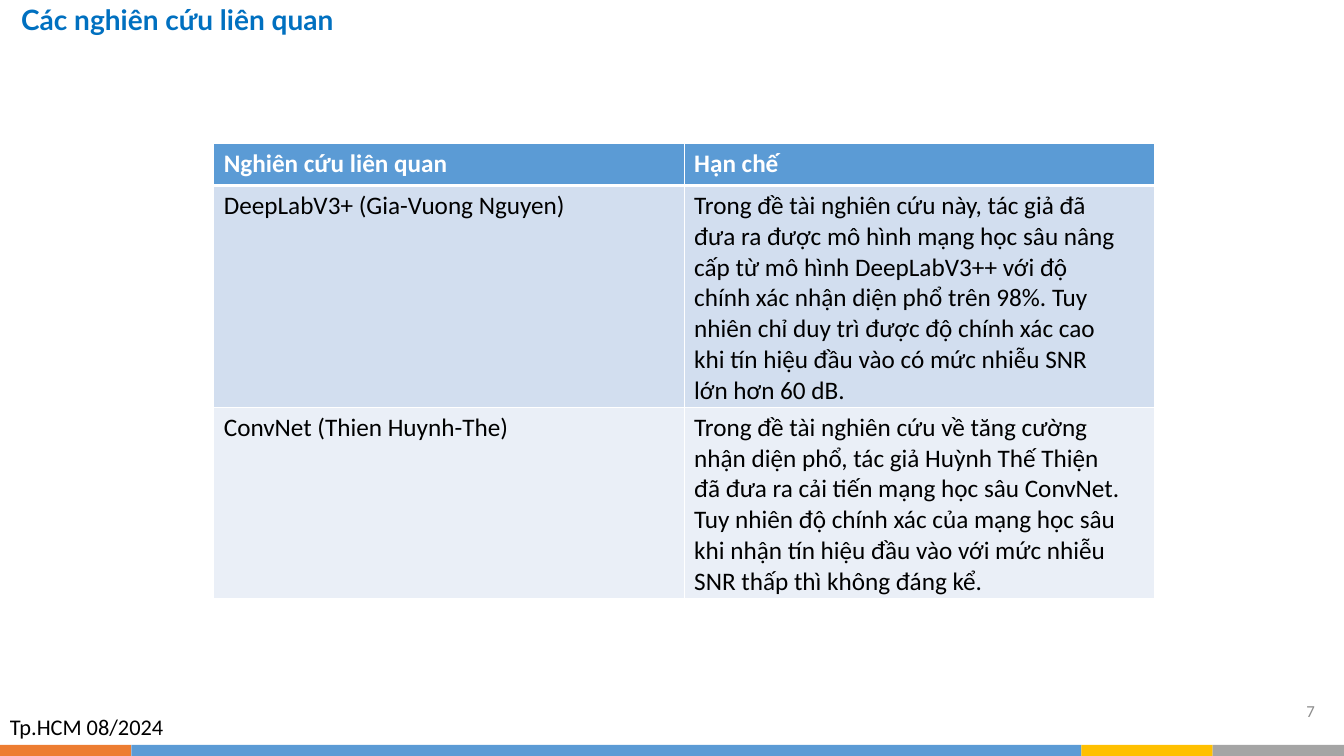
from lxml.etree import SubElement
from pptx import Presentation
from pptx.dml.color import RGBColor
from pptx.enum.shapes import MSO_SHAPE
from pptx.enum.text import MSO_ANCHOR, MSO_AUTO_SIZE, PP_ALIGN
from pptx.oxml.ns import qn
from pptx.util import Inches, Pt

WIDTH, HEIGHT = 13.33, 7.5
HEADINGS = ["Nghiên cứu liên quan", "Hạn chế"]
STUDIES = [
    ("DeepLabV3+ (Gia-Vuong Nguyen)", [
        "Trong đề tài nghiên cứu này, tác giả đã",
        "đưa ra được mô hình mạng học sâu nâng",
        "cấp từ mô hình DeepLabV3++ với độ",
        "chính xác nhận diện phổ trên 98%. Tuy",
        "nhiên chỉ duy trì được độ chính xác cao",
        "khi tín hiệu đầu vào có mức nhiễu SNR",
        "lớn hơn 60 dB.",
    ]),
    ("ConvNet (Thien Huynh-The)", [
        "Trong đề tài nghiên cứu về tăng cường",
        "nhận diện phổ, tác giả Huỳnh Thế Thiện",
        "đã đưa ra cải tiến mạng học sâu ConvNet.",
        "Tuy nhiên độ chính xác của mạng học sâu",
        "khi nhận tín hiệu đầu vào với mức nhiễu",
        "SNR thấp thì không đáng kể.",
    ]),
]
BAND_FILLS = ["D2DEEF", "EAEFF7"]


def color(code):
    return RGBColor.from_string(code)


def write(frame, lines, size, ink, font="Calibri", bold=False, align=PP_ALIGN.LEFT):
    for index, line in enumerate(lines):
        paragraph = frame.add_paragraph() if index else frame.paragraphs[0]
        paragraph.alignment = align
        run = paragraph.add_run()
        run.text = line
        run.font.size = Pt(size)
        run.font.name = font
        run.font.bold = bold
        run.font.color.rgb = color(ink)


def pad(frame, inset):
    frame.margin_left = frame.margin_right = Inches(inset)
    frame.margin_top = frame.margin_bottom = Inches(inset)


def add_stripe(slide, left, top, width, height):
    shares = [("ED7D31", 0.0977), ("5B9BD5", 0.7069), ("FFC000", 0.0977), ("A5A5A5", 0.0977)]
    for fill, share in shares:
        band = slide.shapes.add_shape(
            MSO_SHAPE.RECTANGLE, Inches(left), Inches(top), Inches(width * share), Inches(height))
        band.shadow.inherit = False
        band.fill.solid()
        band.fill.fore_color.rgb = color(fill)
        band.line.fill.background()
        left += width * share


def add_heading(slide, left, top, width, height):
    heading = slide.shapes.title
    heading.left, heading.top = Inches(left), Inches(top)
    heading.width, heading.height = Inches(width), Inches(height)
    frame = heading.text_frame
    frame.word_wrap = True
    frame.auto_size = MSO_AUTO_SIZE.NONE
    frame.vertical_anchor = MSO_ANCHOR.BOTTOM
    pad(frame, 0.13)
    write(frame, ["Các nghiên cứu liên quan"], 20, "0070C0", "Lato", True)
    frame.paragraphs[0].line_spacing = 0.9


def add_label(slide, left, top, width, height):
    label = slide.shapes.add_textbox(Inches(left), Inches(top), Inches(width), Inches(height))
    label.text_frame.word_wrap = True
    return label.text_frame


def style_cell(cell, fill, bottom_width):
    properties = cell._tc.get_or_add_tcPr()
    for side, points in (("L", 1), ("R", 1), ("T", 1), ("B", bottom_width)):
        border = SubElement(properties, qn(f"a:ln{side}"), w=str(Pt(points)))
        SubElement(SubElement(border, qn("a:solidFill")), qn("a:srgbClr"), val="FFFFFF")
    cell.fill.solid()
    cell.fill.fore_color.rgb = color(fill)


def add_studies(slide, left, top, width, row_height):
    row_count = len(STUDIES) + 1
    table = slide.shapes.add_table(
        row_count, len(HEADINGS), Inches(left), Inches(top),
        Inches(width), Inches(row_height * row_count)).table
    for row in table.rows:
        row.height = Inches(row_height)
    for column, heading in enumerate(HEADINGS):
        table.columns[column].width = Inches(width / len(HEADINGS))
        cell = table.cell(0, column)
        style_cell(cell, "5B9BD5", 3)
        write(cell.text_frame, [heading], 18, "FFFFFF", bold=True)
    for row, (study, limits) in enumerate(STUDIES, 1):
        for column, lines in enumerate([[study], limits]):
            cell = table.cell(row, column)
            style_cell(cell, BAND_FILLS[row - 1], 1)
            write(cell.text_frame, lines, 18, "000000")


def main():
    deck = Presentation()
    deck.slide_width, deck.slide_height = Inches(WIDTH), Inches(HEIGHT)
    slide = deck.slides.add_slide(deck.slide_layouts[5])
    add_stripe(slide, 0, HEIGHT - 0.11, WIDTH, 0.11)
    add_heading(slide, 0.08, 0, 3.69, 0.49)
    page = add_label(slide, 12.37, 6.85, 0.8, 0.46)
    pad(page, 0.13)
    write(page, ["7"], 12, "8C8C8C", align=PP_ALIGN.RIGHT)
    add_studies(slide, 2.12, 1.42, WIDTH * 0.7, 0.42)
    place_date = add_label(slide, 0, 7.03, 1.99, 0.37)
    place_date.auto_size = MSO_AUTO_SIZE.SHAPE_TO_FIT_TEXT
    write(place_date, ["Tp.HCM 08/2024"], 16, "000000")
    deck.save("out.pptx")


if __name__ == "__main__":
    main()
